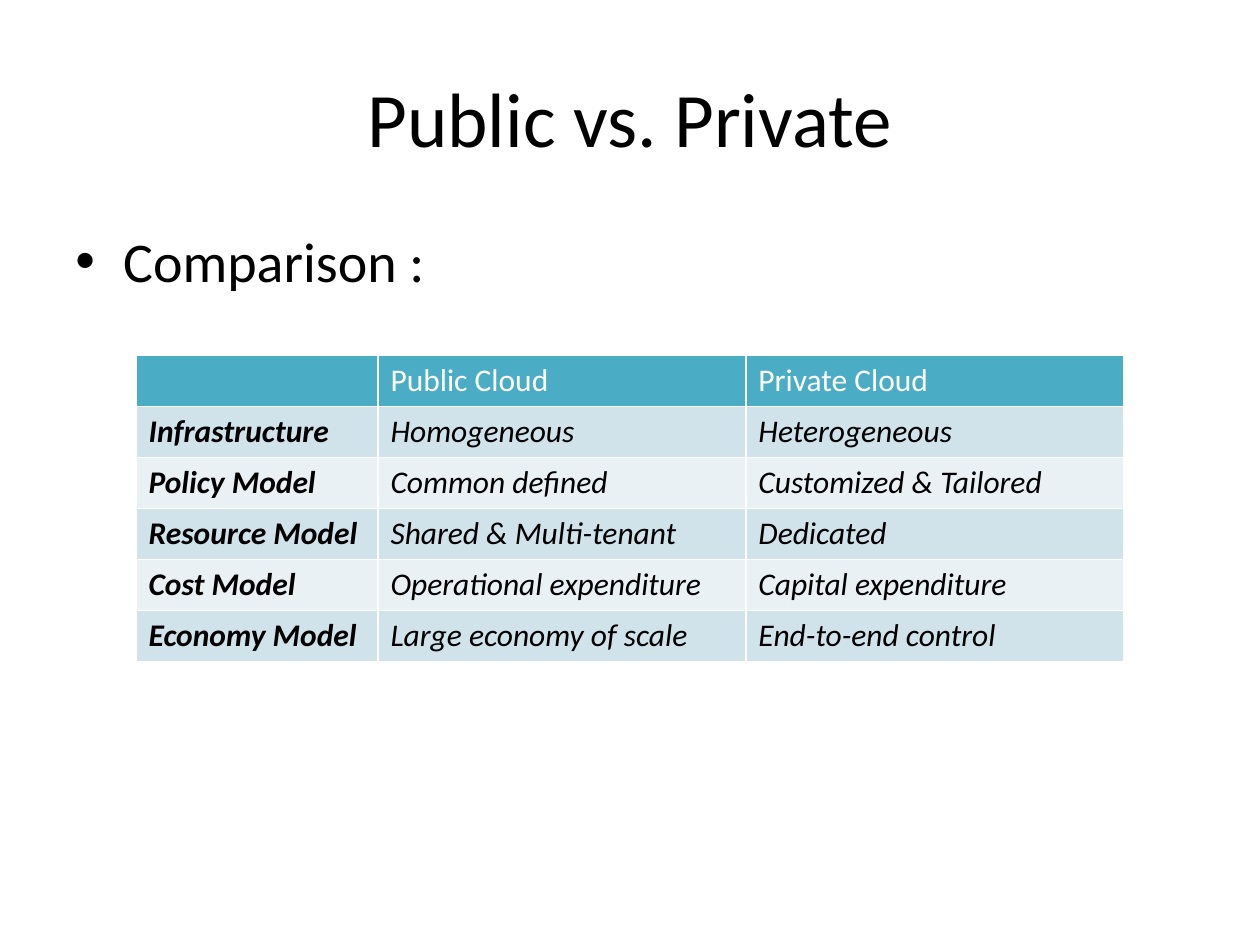
"""Build a slide comparing public and private clouds in a table."""
from dataclasses import dataclass

from lxml import etree
from pptx import Presentation
from pptx.dml.color import RGBColor
from pptx.enum.text import MSO_ANCHOR, PP_ALIGN
from pptx.oxml.ns import qn
from pptx.util import Inches, Pt

TOP, MIDDLE = MSO_ANCHOR.TOP, MSO_ANCHOR.MIDDLE
LEFT, CENTER = PP_ALIGN.LEFT, PP_ALIGN.CENTER

COLORS = {
    "ink": "000000",
    "white": "FFFFFF",
    "head": "4BACC6",
    "odd": "D0E3EA",
    "even": "E9F1F5",
}
WIDTHS = (1.92, 2.92, 3)
ROWS = (
    ("", "Public Cloud", "Private Cloud"),
    ("Infrastructure", "Homogeneous", "Heterogeneous"),
    ("Policy Model", "Common defined", "Customized & Tailored"),
    ("Resource Model", "Shared & Multi-tenant", "Dedicated"),
    ("Cost Model", "Operational expenditure", "Capital expenditure"),
    ("Economy Model", "Large economy of scale", "End-to-end control"),
)


@dataclass
class Label:
    """A line of text with its place and format."""

    text: str
    box: tuple
    size: int
    align: int = LEFT
    anchor: int = TOP
    bullet: bool = False


LABELS = (
    Label("Public vs. Private", (0.5, 0.3, 9, 1.25), 44, CENTER, MIDDLE),
    Label("Comparison :", (0.5, 1.75, 9, 0.67), 32, bullet=True),
)


def style(font, size: int, color: str, **extra) -> None:
    """Set the font from a dict of format values."""
    values = {"name": "Calibri", "size": Pt(size), **extra}
    for key, value in values.items():
        setattr(font, key, value)
    font.color.rgb = RGBColor.from_string(COLORS[color])


def add_label(slide, label: Label) -> None:
    """Draw one label."""
    frame = slide.shapes.add_textbox(*map(Inches, label.box)).text_frame
    frame.word_wrap = True
    frame.vertical_anchor = label.anchor
    para = frame.paragraphs[0]
    para.text, para.alignment = label.text, label.align
    if label.bullet:
        props = para._p.get_or_add_pPr()
        props.set("marL", str(Inches(0.38)))
        props.set("indent", str(Inches(-0.38)))
        etree.SubElement(props, qn("a:buFont"), typeface="Arial")
        etree.SubElement(props, qn("a:buChar"), char="•")
    style(para.runs[0].font, label.size, "ink")


def add_edges(cell) -> None:
    """Put a thin white line on each side of a cell."""
    props = cell._tc.get_or_add_tcPr()
    for side in "LRTB":
        line = etree.SubElement(props, qn(f"a:ln{side}"), w=str(Pt(1)))
        fill = etree.SubElement(line, qn("a:solidFill"))
        etree.SubElement(fill, qn("a:srgbClr"), val=COLORS["white"])


def fill_cell(cell, text: str, row: int, col: int) -> None:
    """Write and format one cell by its place in the grid."""
    head = row == 0
    tint = "head" if head else "odd" if row % 2 else "even"
    add_edges(cell)
    cell.fill.solid()
    cell.fill.fore_color.rgb = RGBColor.from_string(COLORS[tint])
    cell.vertical_anchor = TOP if head else MIDDLE
    cell.text = text
    for run in cell.text_frame.paragraphs[0].runs:
        style(run.font, 18, "white" if head else "ink",
              bold=not head and col == 0, italic=not head)


def add_grid(slide) -> None:
    """Draw the comparison table."""
    box = map(Inches, (1.08, 2.82, sum(WIDTHS), 2.43))
    grid = slide.shapes.add_table(len(ROWS), len(WIDTHS), *box).table
    for col, width in enumerate(WIDTHS):
        grid.columns[col].width = Inches(width)
    for row, texts in enumerate(ROWS):
        for col, text in enumerate(texts):
            fill_cell(grid.cell(row, col), text, row, col)


def main() -> None:
    """Build and save the slide."""
    deck = Presentation()
    deck.slide_width, deck.slide_height = Inches(10), Inches(7.5)
    slide = deck.slides.add_slide(deck.slide_layouts[6])
    for label in LABELS:
        add_label(slide, label)
    add_grid(slide)
    deck.save("out.pptx")


if __name__ == "__main__":
    main()
